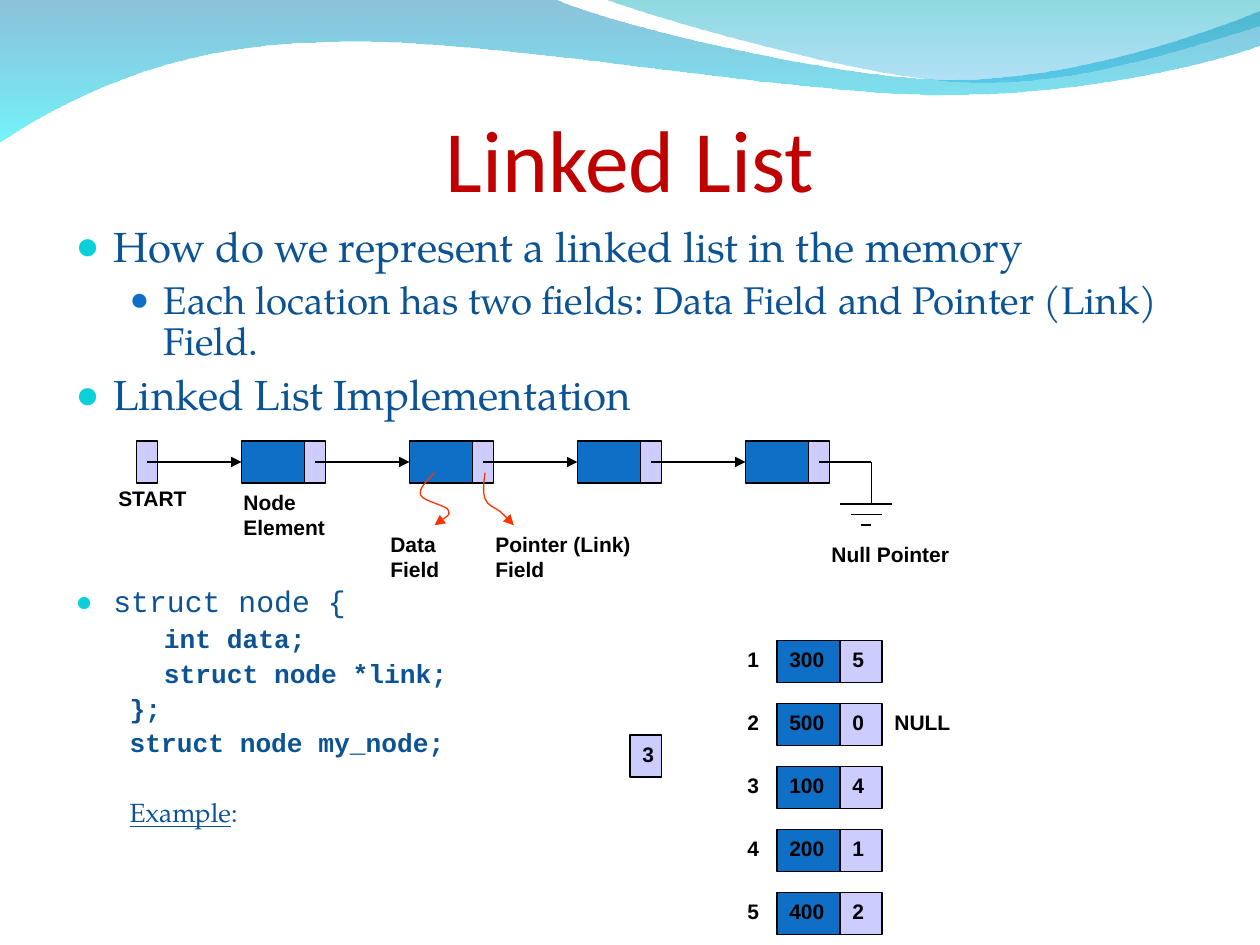
from pptx import Presentation
from pptx.dml.color import RGBColor
from pptx.enum.shapes import MSO_CONNECTOR, MSO_SHAPE
from pptx.enum.text import MSO_ANCHOR, MSO_AUTO_SIZE, PP_ALIGN
from pptx.oxml.ns import qn
from pptx.util import Cm, Pt
from lxml.etree import SubElement

BLUE, LILAC, BLACK, RED = "0F6FC6", "CCCCFF", "000000", "FF3300"
TITLE_RED, TEXT_BLUE, TURQUOISE = "C00000", "0B5395", "0BD0D9"
SERIF, MONO = "TeX Gyre Pagella", "Courier New"
BOX_HEIGHT = 4  # diagram lengths count in twelfths of an inch
LABEL_HEIGHT = 3.6


def grid(steps):
    """Turn diagram grid steps into a length."""
    return Cm(steps * 2.54 / 12)


def color(hex_text):
    """Turn a hex string into a colour."""
    return RGBColor.from_string(hex_text)


def add_run(paragraph, text, size, font, hex_text, bold=False, underline=False):
    """Add one formatted run."""
    run = paragraph.add_run()
    run.text = text
    run.font.size, run.font.name = Pt(size), font
    run.font.bold, run.font.underline = bold, underline
    run.font.color.rgb = color(hex_text)


def place(shape, left, top, width, height):
    """Move and size a shape, in centimetres."""
    shape.left, shape.top = Cm(left), Cm(top)
    shape.width, shape.height = Cm(width), Cm(height)


def add_label(slide, text, left, top, width, height=LABEL_HEIGHT, wrap=True):
    """Add small bold text on the diagram grid."""
    box = slide.shapes.add_textbox(grid(left), grid(top), grid(width), grid(height))
    box.text_frame.word_wrap = wrap
    add_run(box.text_frame.paragraphs[0], text, 12, "Arial", BLACK, bold=True)


def style_line(shape, hex_text, arrow=False):
    """Set a thin line, with an arrowhead at its end if wanted."""
    shape.line.color.rgb = color(hex_text)
    shape.line.width = Pt(0.74)
    if arrow:
        line = shape._element.spPr.find(qn("a:ln"))
        SubElement(line, qn("a:tailEnd"), type="triangle")


def add_box(slide, left, top, width, fill):
    """Add an outlined rectangle on the diagram grid."""
    shape = slide.shapes.add_shape(
        MSO_SHAPE.RECTANGLE, grid(left), grid(top), grid(width), grid(BOX_HEIGHT))
    shape.shadow.inherit = False
    shape.fill.solid()
    shape.fill.fore_color.rgb = color(fill)
    style_line(shape, BLACK)


def add_line(slide, x1, y1, x2, y2, arrow=False):
    """Add a straight line on the diagram grid."""
    line = slide.shapes.add_connector(
        MSO_CONNECTOR.STRAIGHT, grid(x1), grid(y1), grid(x2), grid(y2))
    style_line(line, BLACK, arrow)
    SubElement(line._element.spPr, qn("a:effectLst"))


def add_outline(slide, points, closed):
    """Add a freeform in centimetres: pairs are line ends, sixes are cubic curves."""
    vertices = [(Cm(point[i]), Cm(point[i + 1]))
                for point in points for i in range(0, len(point), 2)]
    builder = slide.shapes.build_freeform(*vertices[0], scale=1.0)
    builder.add_line_segments(vertices[1:], close=closed)
    shape = builder.convert_to_shape()
    shape.shadow.inherit = False
    segments = iter(list(shape._element.spPr.iter(qn("a:lnTo"))))
    for point in points[1:]:
        segment = next(segments)
        if len(point) == 6:
            segment.addprevious(segment.makeelement(qn("a:cubicBezTo")))
            curve = segment.getprevious()
            for part in (segment, next(segments), next(segments)):
                curve.append(part[0])
                part.getparent().remove(part)
    return shape


def add_wave(slide, points, stops, depth):
    """Add a translucent gradient wave behind the text."""
    wave = add_outline(slide, points, closed=True)
    wave.line.fill.background()
    wave.fill.gradient()
    wave.fill.gradient_angle = 270
    for stop, position, (hex_text, _) in zip(wave.fill.gradient_stops, (0, 1), stops):
        stop.position = position
        stop.color.rgb = color(hex_text)
    for element, (_, opacity) in zip(wave._element.spPr.iter(qn("a:srgbClr")), stops):
        SubElement(element, qn("a:alpha"), val=str(opacity * 1000))
    slide.shapes._spTree.insert(2 + depth, wave._element)


def add_curved_arrow(slide, points):
    """Add a red curved arrow."""
    arrow = add_outline(slide, points, closed=False)
    arrow.fill.background()
    style_line(arrow, RED, arrow=True)


def format_item(paragraph, level, margin, indent, before, bullet):
    """Set level, indents, spacing and bullet of a body paragraph."""
    paragraph.level = level
    paragraph.line_spacing = 0.9
    paragraph.space_before = Pt(before)
    properties = paragraph._p.get_or_add_pPr()
    properties.set("marL", str(Cm(margin)))
    properties.set("indent", str(Cm(indent)))
    if not bullet:
        SubElement(properties, qn("a:buNone"))
        return
    hex_text, percent = bullet
    SubElement(SubElement(properties, qn("a:buClr")), qn("a:srgbClr"), val=hex_text)
    SubElement(properties, qn("a:buSzPct"), val=str(percent * 1000))
    SubElement(properties, qn("a:buChar"), char="●")


def fill_title(title):
    """Write the slide title."""
    place(title, 1.27, 1.94, 22.86, 2.29)
    frame = title.text_frame
    frame.auto_size = MSO_AUTO_SIZE.NONE
    frame.vertical_anchor = MSO_ANCHOR.BOTTOM
    frame.margin_left = frame.margin_right = frame.margin_bottom = 0
    frame.paragraphs[0].alignment = PP_ALIGN.CENTER
    add_run(frame.paragraphs[0], "Linked List", 50, "Calibri", TITLE_RED)


def fill_body(body):
    """Write the bullets and the code listing."""
    place(body, 1.27, 4.43, 22.86, 13.13)
    frame = body.text_frame
    frame.auto_size = MSO_AUTO_SIZE.NONE
    main = (0, 0.76, -0.76)
    sub = (1, 1.78, -0.69)
    dot, sub_dot = (TURQUOISE, 95), (BLUE, 85)
    items = [
        (main, 6, dot, "How do we represent a linked list in the memory", 24, SERIF),
        (sub, 5.5, sub_dot,
         "Each location has two fields: Data Field and Pointer (Link) Field.", 22, SERIF),
        (main, 6, dot, "Linked List Implementation", 24, SERIF),
        (main, 95.4, dot, "struct node {", 17, MONO),
        (sub, 3.7, None, "\tint data;", 15, MONO),
        (sub, 3.7, None, "\tstruct node *link;", 15, MONO),
        (sub, 3.7, None, "};", 15, MONO),
        (sub, 3.7, None, "struct node my_node;", 15, MONO),
        (sub, 23.5, None, "Example", 15, SERIF),
    ]
    for index, (layout, before, bullet, text, size, font) in enumerate(items):
        paragraph = frame.add_paragraph() if index else frame.paragraphs[0]
        format_item(paragraph, *layout, before, bullet)
        add_run(paragraph, text, size, font, TEXT_BLUE,
                bold=size == 15 and font == MONO, underline=text == "Example")
    add_run(paragraph, ": ", 15, SERIF, TEXT_BLUE)


def draw_chain(slide):
    """Draw the start box, four linked nodes and the null pointer."""
    add_box(slide, 13, 42, 2, LILAC)
    for left in range(23, 72, 16):
        add_box(slide, left, 42, 6, BLUE)
        add_box(slide, left + 6, 42, 2, LILAC)
        add_line(slide, left - 9, 44, left, 44, arrow=True)
    for ends in ((78, 44, 83, 44), (80, 48, 85, 48), (81, 49, 84, 49),
                 (82, 50, 83, 50), (83, 44, 83, 48)):
        add_line(slide, *ends)
    add_label(slide, "START", 10.08, 45.7, 9, wrap=False)
    for label in (("Node Element", 22, 46, 15, 6), ("Pointer (Link) Field", 46, 50, 18, 6),
                  ("Data Field", 36, 50, 11, 6), ("Null Pointer", 78, 51, 14)):
        add_label(slide, *label)
    add_curved_arrow(slide, [(8.76, 9.53), (8.61, 9.68, 8.43, 9.86, 8.48, 9.98),
                             (8.53, 10.11, 9.02, 10.19, 9.04, 10.29),
                             (9.09, 10.39, 8.81, 10.54, 8.76, 10.59)])
    add_curved_arrow(slide, [(9.78, 9.53), (9.75, 9.73, 9.73, 9.93, 9.78, 10.06),
                             (9.83, 10.19, 9.98, 10.24, 10.08, 10.31),
                             (10.19, 10.41, 10.31, 10.54, 10.36, 10.59)])


def draw_memory(slide):
    """Draw the numbered memory cells and the start index."""
    cells = (("300", "5"), ("500", "0"), ("100", "4"), ("200", "1"), ("400", "2"))
    for row, (data, link) in enumerate(cells):
        top = 61 + 6 * row
        add_box(slide, 74, top, 6, BLUE)
        add_box(slide, 80, top, 4, LILAC)
        for text, left, width in ((data, 74, 5.8), (link, 80, 3.5), (str(row + 1), 70, 3.5)):
            add_label(slide, text, left, top, width, wrap=False)
    add_box(slide, 60, 70, 3, LILAC)
    add_label(slide, "3", 60, 70, 4)
    add_label(slide, "NULL", 84, 67, 8)


def main():
    """Build and save the slide."""
    presentation = Presentation()
    presentation.slide_width, presentation.slide_height = Cm(25.4), Cm(19.05)
    slide = presentation.slides.add_slide(presentation.slide_layouts[1])
    add_wave(slide, [(0, -0.02), (11.18, -0.02), (12.09, 0.43, 16.87, 1.6, 19.25, 1.6),
                     (21.67, 1.6, 24.33, 0.66, 25.4, 0.23), (25.42, 0.91),
                     (24.97, 1.12, 22.1, 1.93, 18.95, 1.91),
                     (15.8, 1.91, 9.7, 0.71, 6.53, 0.86),
                     (3.28, 0.89, 1.17, 2.11, -0.02, 2.87)],
             (("0079AF", 45), ("00EBF8", 55)), depth=0)
    add_wave(slide, [(12.17, -0.02), (12.93, 0.28, 17.32, 1.57, 19.53, 1.65),
                     (21.74, 1.75, 24.41, 0.81, 25.4, 0.53), (25.4, 0)],
             (("00ADB6", 45), ("009BE5", 30)), depth=1)
    fill_title(slide.shapes.title)
    fill_body(slide.placeholders[1])
    draw_chain(slide)
    draw_memory(slide)
    presentation.save("out.pptx")


main()
